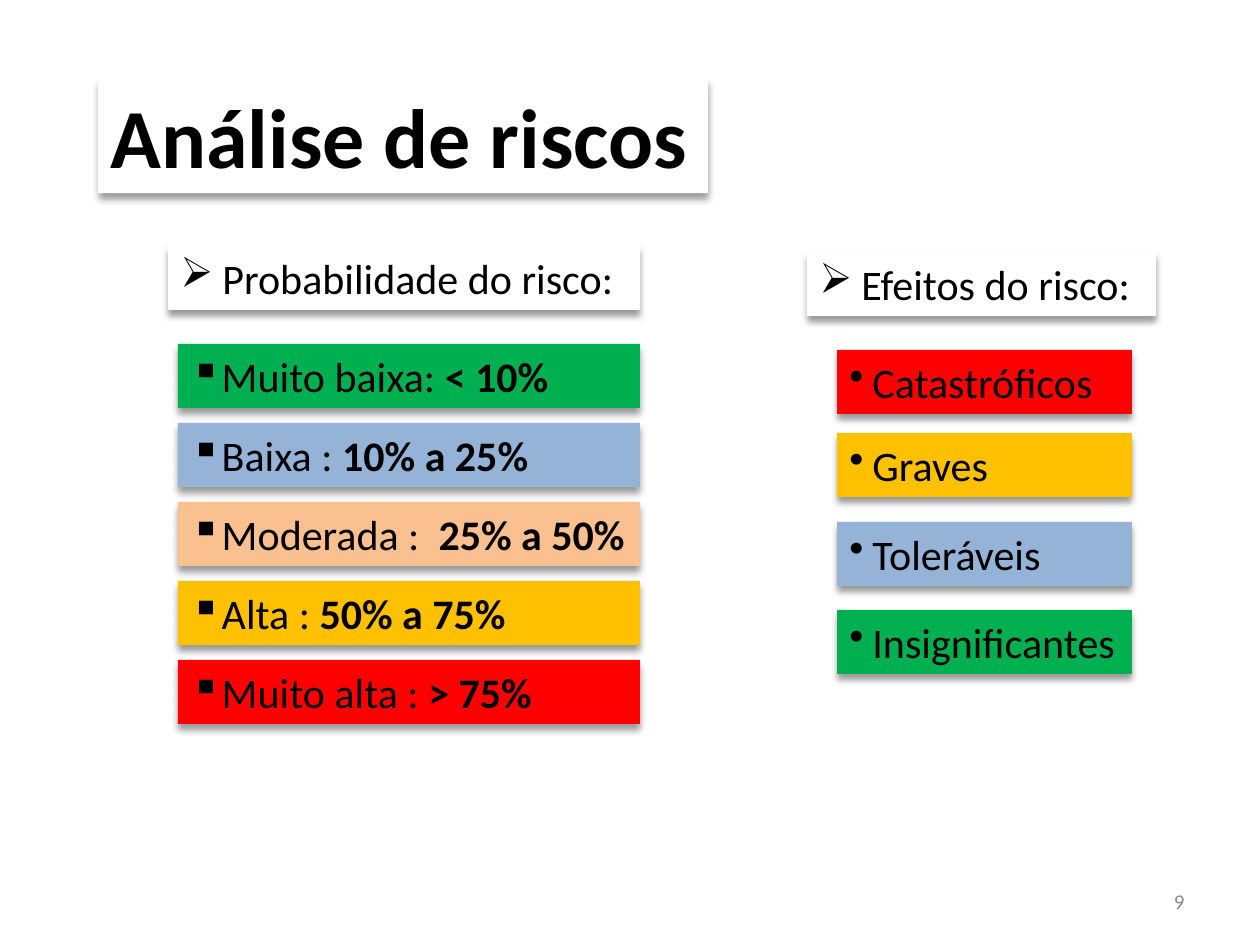
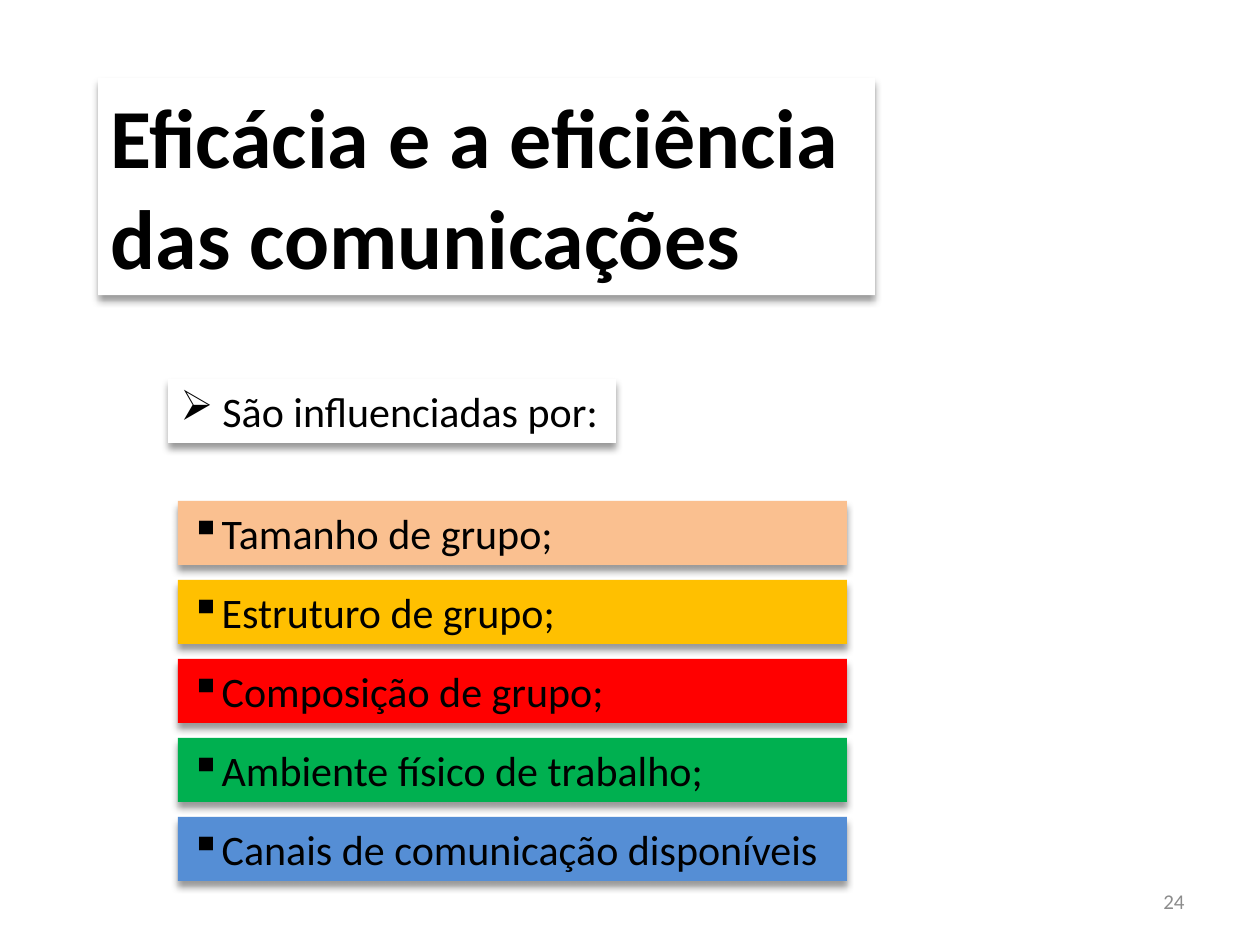
"""Build two slides on risk analysis and group communication."""
import pptx
import pptx.dml.color
import pptx.enum.shapes
import pptx.enum.text
import pptx.oxml
import pptx.oxml.ns
import pptx.util

SCALE = 914400 / 126
FONT = "Calibri"
ROW = 64
STEP = 79
INK = {
    "black": "000000", "white": "FFFFFF", "gray": "8C8C8C",
    "green": "00B050", "pale": "95B3D7", "peach": "FAC090",
    "amber": "FFC000", "red": "FF0000", "blue": "558ED5",
}
HANG = {"➢": 42, "▪": 23, "•": 23}


def px(size):
    """Turn px into EMU."""
    return pptx.util.Emu(round(size * SCALE))


def rgb(name):
    """Look up a colour by name."""
    return pptx.dml.color.RGBColor.from_string(INK[name])


def write(para, runs, size, color="black"):
    """Add (text, bold) runs to a paragraph."""
    for text, bold in runs:
        run = para.add_run()
        run.text = text
        run.font.name = FONT
        run.font.size = pptx.util.Pt(size)
        run.font.bold = bold
        run.font.color.rgb = rgb(color)


def shade(shape):
    """Give a shape a soft shadow straight below it."""
    shape.shadow.inherit = False
    space = pptx.oxml.ns.nsdecls("a")
    glow = pptx.oxml.parse_xml(
        f'<a:outerShdw {space} blurRad="50800" dist="38100" dir="5400000" '
        'algn="t" rotWithShape="0"><a:srgbClr val="000000">'
        '<a:alpha val="40000"/></a:srgbClr></a:outerShdw>')
    shape.element.spPr.find(pptx.oxml.ns.qn("a:effectLst")).append(glow)


def mark(para, sign):
    """Give a paragraph a bullet with a hanging indent."""
    props = para._p.get_or_add_pPr()
    props.set("marL", str(px(HANG[sign])))
    props.set("indent", str(-px(HANG[sign])))
    space = pptx.oxml.ns.nsdecls("a")
    props.append(pptx.oxml.parse_xml(f'<a:buChar {space} char="{sign}"/>'))


def style(shape, fill):
    """Fill and shade a card, and return its left-aligned paragraph."""
    shape.fill.solid()
    shape.fill.fore_color.rgb = rgb(fill)
    shape.line.fill.background()
    shade(shape)
    frame = shape.text_frame
    frame.word_wrap = True
    frame.auto_size = pptx.enum.text.MSO_AUTO_SIZE.SHAPE_TO_FIT_TEXT
    frame.vertical_anchor = pptx.enum.text.MSO_ANCHOR.TOP
    para = frame.paragraphs[0]
    para.alignment = pptx.enum.text.PP_ALIGN.LEFT
    return para


def card(slide, left, top, width, fill, sign, runs):
    """Add a one-line card with a bullet."""
    shape = slide.shapes.add_shape(
        pptx.enum.shapes.MSO_SHAPE.RECTANGLE,
        px(left), px(top), px(width), px(ROW))
    para = style(shape, fill)
    mark(para, sign)
    write(para, runs, 24)


def head(slide, left, top, width, text):
    """Add the white heading of a list."""
    card(slide, left, top, width, "white", "➢", [(text, False)])


def page(deck, title, width, height, number):
    """Add a slide with its title card and page number."""
    slide = deck.slides.add_slide(deck.slide_layouts[5])
    shape = slide.shapes.title
    shape.left, shape.top = px(98), px(78)
    shape.width, shape.height = px(width), px(height)
    write(style(shape, "white"), [(title, True)], 48)
    box = slide.shapes.add_textbox(px(903), px(876), px(294), px(50))
    box.text_frame.word_wrap = True
    box.text_frame.vertical_anchor = pptx.enum.text.MSO_ANCHOR.MIDDLE
    para = box.text_frame.paragraphs[0]
    para.alignment = pptx.enum.text.PP_ALIGN.RIGHT
    write(para, [(number, False)], 12, "gray")
    return slide


def risks(deck):
    """Build the slide on risk odds and effects."""
    slide = page(deck, "Análise de riscos", 610, 115, "9")
    head(slide, 168, 246, 472, "Probabilidade do risco:")
    odds = [
        ("green", "Muito baixa: ", "< 10%"),
        ("pale", "Baixa : ", "10% a 25%"),
        ("peach", "Moderada :  ", "25% a 50%"),
        ("amber", "Alta : ", "50% a 75%"),
        ("red", "Muito alta : ", "> 75%"),
    ]
    for i, (fill, name, range_) in enumerate(odds):
        card(slide, 178, 344 + i * STEP, 462, fill, "▪",
             [(name, False), (range_, True)])
    head(slide, 807, 252, 349, "Efeitos do risco:")
    effects = [
        (350, "red", "Catastróficos"),
        (433, "amber", "Graves"),
        (522, "pale", "Toleráveis"),
        (610, "green", "Insignificantes"),
    ]
    for top, fill, name in effects:
        card(slide, 837, top, 295, fill, "•", [(name, False)])


def groups(deck):
    """Build the slide on what shapes communication."""
    slide = page(deck, "Eficácia e a eficiência das comunicações",
                 777, 217, "24")
    head(slide, 168, 379, 448, "São influenciadas por:")
    causes = [
        ("peach", "Tamanho de grupo;"),
        ("amber", "Estruturo de grupo;"),
        ("red", "Composição de grupo;"),
        ("green", "Ambiente físico de trabalho;"),
        ("blue", "Canais de comunicação disponíveis"),
    ]
    for i, (fill, name) in enumerate(causes):
        card(slide, 178, 501 + i * STEP, 669, fill, "▪", [(name, False)])


def main():
    """Build and save the deck."""
    deck = pptx.Presentation()
    deck.slide_width, deck.slide_height = px(1260), px(945)
    risks(deck)
    groups(deck)
    deck.save("out.pptx")


if __name__ == "__main__":
    main()
